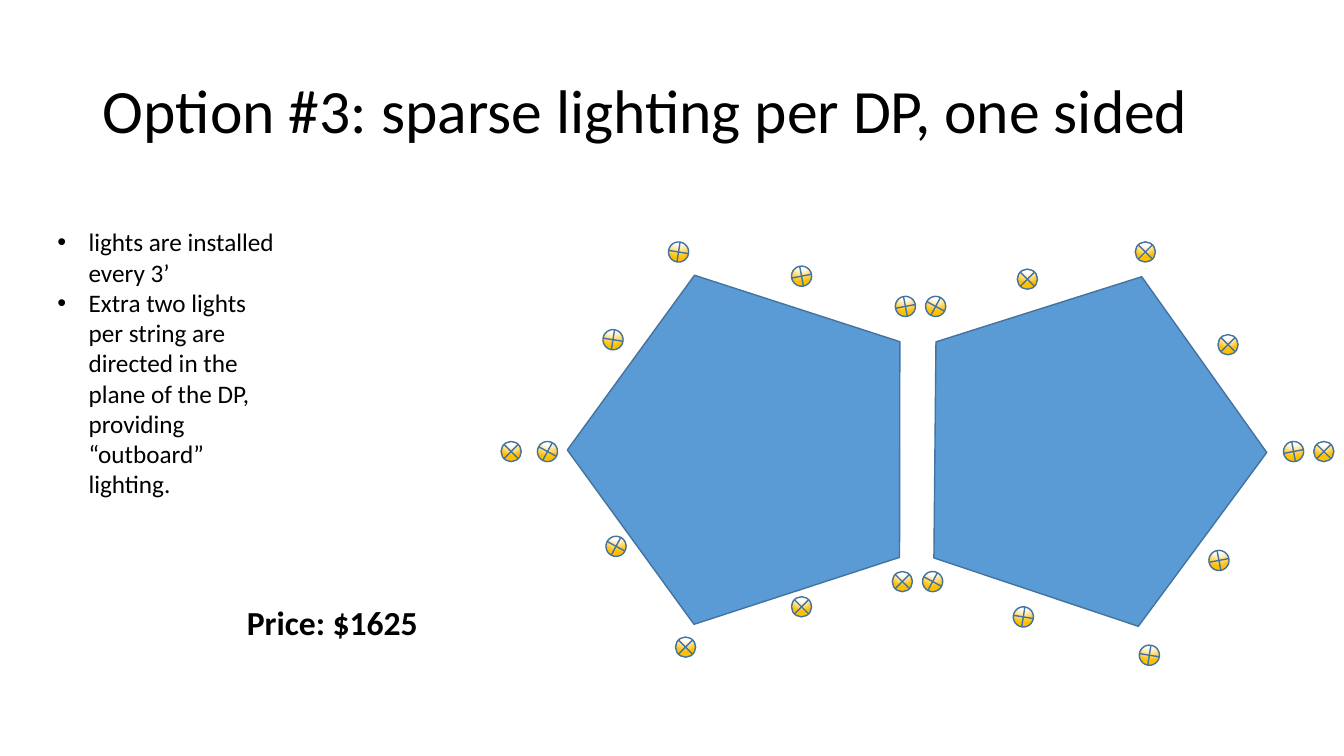
from dataclasses import dataclass

from lxml import etree
from pptx import Presentation
from pptx.dml.color import RGBColor
from pptx.enum.shapes import MSO_SHAPE
from pptx.enum.text import MSO_ANCHOR, MSO_AUTO_SIZE, PP_ALIGN
from pptx.oxml.ns import qn
from pptx.util import Pt

PENTAGON = MSO_SHAPE.REGULAR_PENTAGON
LAMP = MSO_SHAPE.FLOWCHART_SUMMING_JUNCTION
MIDDLE = MSO_ANCHOR.MIDDLE
LEFT = PP_ALIGN.LEFT
FIXED = MSO_AUTO_SIZE.NONE
GROW = MSO_AUTO_SIZE.SHAPE_TO_FIT_TEXT

EMU_PER_PX = 9144  # 100 px to the inch
TITLE_ONLY = 5
LAMP_SIZE = 20
BULLET_INDENT = 31


@dataclass(frozen=True)
class Theme:
    font: str = "Calibri"
    text: str = "000000"
    panel: str = "5B9BD5"
    outline: str = "43739E"
    glow: tuple = ((0, "FFFFFF"), (35, "FFFFFF"), (100, "FFC000"))
    title_size: int = 44
    body_size: int = 18
    price_size: int = 24
    line_width: int = 1


THEME = Theme()

TITLE = "Option #3: sparse lighting per DP, one sided"
NOTES = (
    "lights are installed every 3’",
    "Extra two lights per string are directed in the plane of the DP, "
    "providing “outboard” lighting.",
)
PRICE = "Price: $1625"

# left, top, rotation
PANELS = ((586, 271, 54), (907, 266, 18.5))

# rotation: (left, top) of each light
LIGHTS = {
    0: ((670, 632), (885, 567), (785, 592), (1208, 332), (1126, 240),
        (497, 438), (1303, 438), (1009, 267)),
    73.4: ((918, 294), (915, 567), (601, 532), (533, 438)),
    324.1: ((663, 240), (598, 327), (1130, 640), (1005, 602)),
    34.2: ((888, 294), (785, 264), (1273, 438), (1199, 546)),
}


def px(*lengths):
    return [length * EMU_PER_PX for length in lengths]


def format_text(frame, size, bold=False):
    for paragraph in frame.paragraphs:
        paragraph.alignment = LEFT
        for run in paragraph.runs:
            run.font.name = THEME.font
            run.font.size = Pt(size)
            run.font.bold = bold
            run.font.color.rgb = RGBColor.from_string(THEME.text)


def set_title(slide):
    title = slide.shapes.title
    title.left, title.top, title.width, title.height = px(92, 40, 1150, 145)
    frame = title.text_frame
    frame.text = TITLE
    frame.auto_size = FIXED
    frame.vertical_anchor = MIDDLE
    frame.paragraphs[0].line_spacing = 0.9
    format_text(frame, THEME.title_size)


def add_text(slide, text, box, size, bold=False, wrap=True):
    frame = slide.shapes.add_textbox(*px(*box)).text_frame
    frame.text = text
    frame.word_wrap = wrap
    frame.auto_size = GROW
    format_text(frame, size, bold)
    return frame


def add_bullets(frame):
    [indent] = px(BULLET_INDENT)
    for paragraph in frame.paragraphs:
        properties = paragraph._p.get_or_add_pPr()
        properties.set("marL", str(indent))
        properties.set("indent", str(-indent))
        etree.SubElement(properties, qn("a:buFont"), typeface="Arial")
        etree.SubElement(properties, qn("a:buChar"), char="•")


def add_outlined(slide, kind, box, rotation):
    shape = slide.shapes.add_shape(kind, *px(*box))
    shape.rotation = rotation
    shape.shadow.inherit = False
    shape.line.color.rgb = RGBColor.from_string(THEME.outline)
    shape.line.width = Pt(THEME.line_width)
    return shape


def add_panel(slide, left, top, rotation):
    panel = add_outlined(slide, PENTAGON, (left, top, 346, 330), rotation)
    panel.fill.solid()
    panel.fill.fore_color.rgb = RGBColor.from_string(THEME.panel)


def fill_with_glow(shape):
    """Fill with a radial gradient centred above the shape."""
    shape.fill.gradient()
    gradient = shape._element.spPr.find(qn("a:gradFill"))
    for child in list(gradient):
        gradient.remove(child)
    stops = etree.SubElement(gradient, qn("a:gsLst"))
    for percent, color in THEME.glow:
        stop = etree.SubElement(stops, qn("a:gs"), pos=str(percent * 1000))
        etree.SubElement(stop, qn("a:srgbClr"), val=color)
    circle = etree.SubElement(gradient, qn("a:path"), path="circle")
    etree.SubElement(circle, qn("a:fillToRect"),
                     l="50000", t="-80000", r="50000", b="180000")


def add_light(slide, left, top, rotation):
    box = (left, top, LAMP_SIZE, LAMP_SIZE)
    fill_with_glow(add_outlined(slide, LAMP, box, rotation))


def main():
    deck = Presentation()
    deck.slide_width, deck.slide_height = px(1333, 750)
    slide = deck.slides.add_slide(deck.slide_layouts[TITLE_ONLY])

    set_title(slide)
    notes = add_text(slide, "\n".join(NOTES), (47, 220, 235, 283),
                     THEME.body_size)
    add_bullets(notes)
    for left, top, rotation in PANELS:
        add_panel(slide, left, top, rotation)
    for rotation, places in LIGHTS.items():
        for left, top in places:
            add_light(slide, left, top, rotation)
    add_text(slide, PRICE, (235, 592, 191, 50), THEME.price_size,
             bold=True, wrap=False)

    deck.save("out.pptx")


if __name__ == "__main__":
    main()
